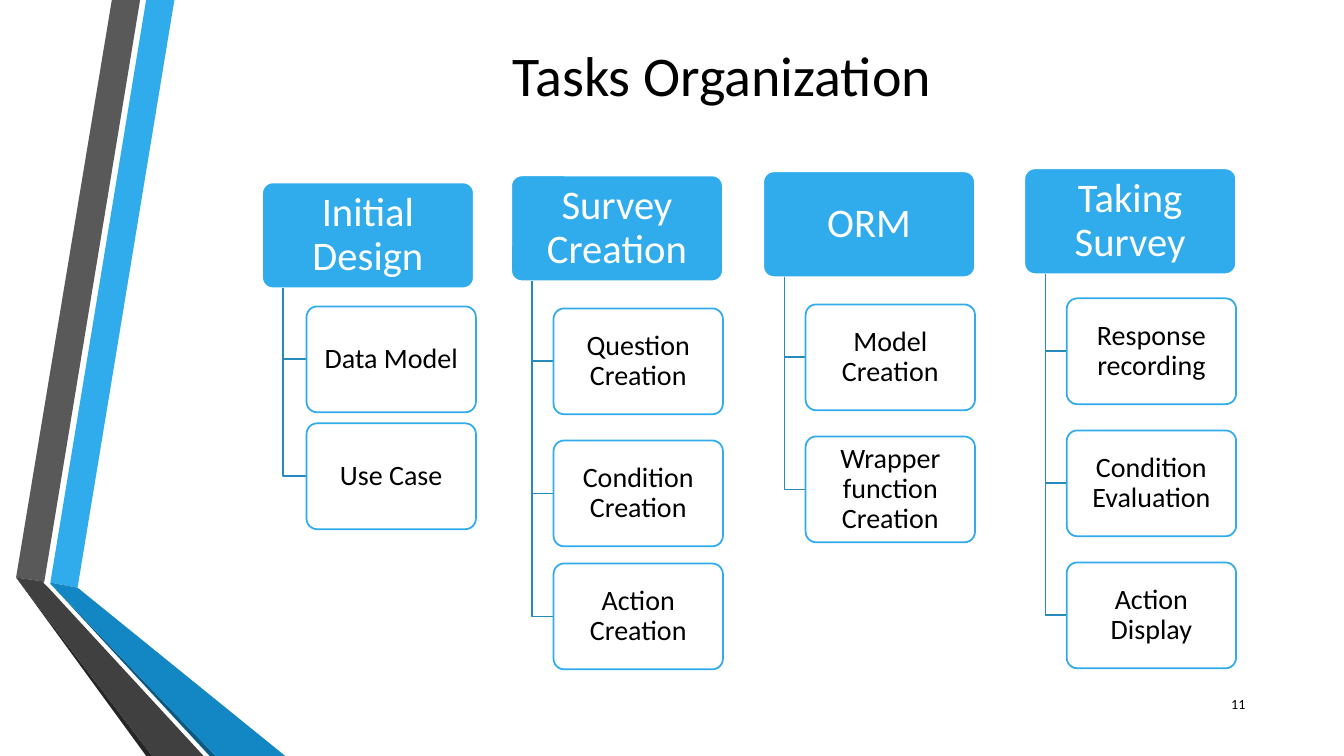
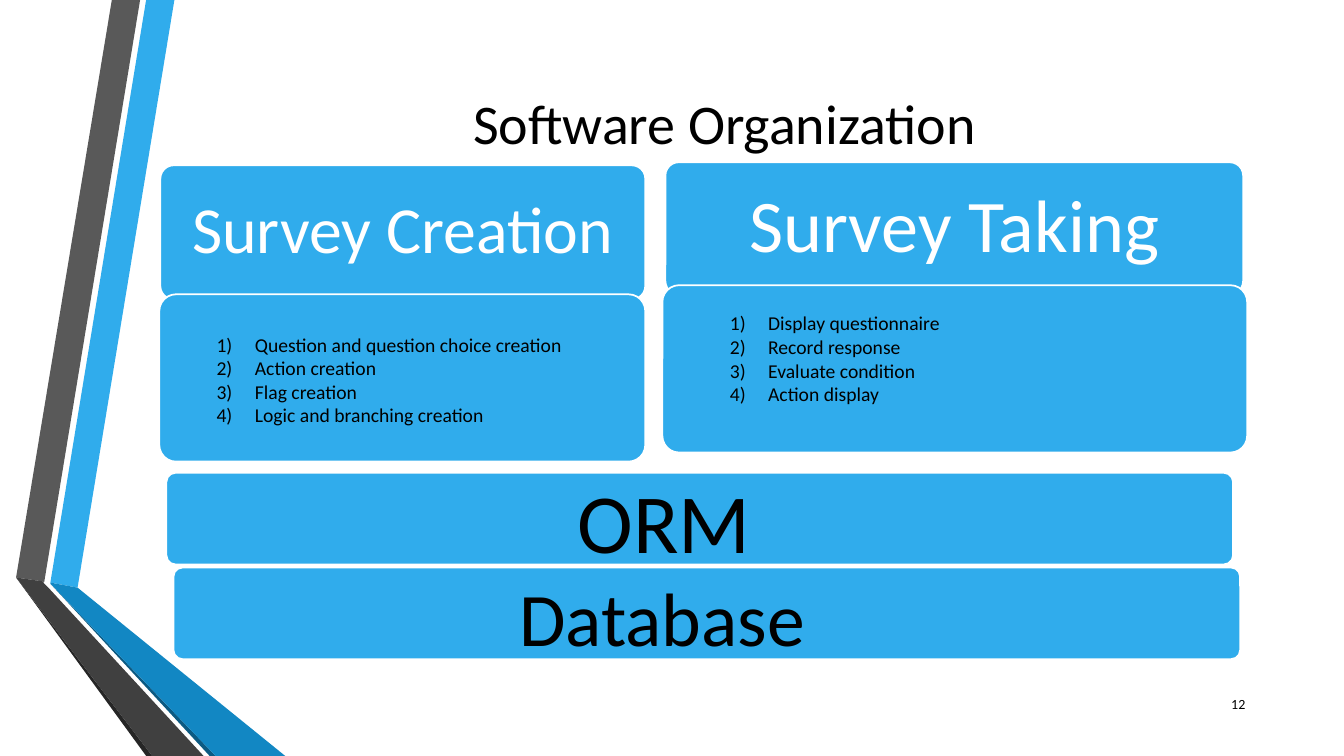
from lxml import etree
from pptx import Presentation
from pptx.dml.color import RGBColor
from pptx.enum.shapes import MSO_SHAPE as Shape
from pptx.enum.text import MSO_ANCHOR as Anchor, MSO_AUTO_SIZE as AutoSize, PP_ALIGN as Align
from pptx.oxml.ns import qn
from pptx.util import Inches, Pt

BLUE = RGBColor(0x30, 0xAC, 0xEC)
MID_BLUE = RGBColor(0x12, 0x87, 0xC3)
DARK_BLUE = RGBColor(0x0C, 0x5A, 0x82)
STEM_BLUE = RGBColor(0x26, 0x8A, 0xBD)
GREY = RGBColor(0x59, 0x59, 0x59)
DARK_GREY = RGBColor(0x40, 0x40, 0x40)
BLACKISH = RGBColor(0x26, 0x26, 0x26)
WHITE = RGBColor(0xFF, 0xFF, 0xFF)
BLACK = RGBColor(0, 0, 0)

# Ribbon down the left edge of every slide, back to front
RIBBON = [
    (BLUE, [(0.5, 5.78), (0.77, 5.83), (1.73, 0), (1.45, 0)]),
    (GREY, [(1.39, 0), (1.11, 0), (0.16, 5.73), (0.44, 5.77)]),
    (BLACKISH, [(0.16, 5.73), (1.45, 7.5), (1.51, 7.5)]),
    (DARK_BLUE, [(0.5, 5.79), (2.08, 7.5), (2.14, 7.5)]),
    (MID_BLUE, [(0.5, 5.79), (2.14, 7.5), (2.83, 7.5), (0.77, 5.83), (0.5, 5.78)]),
    (DARK_GREY, [(2.02, 7.5), (0.48, 5.83), (0.43, 5.78), (0.44, 5.77),
                 (0.16, 5.73), (1.51, 7.5)]),
]


class Deck:
    font = "Calibri"
    line_width = Pt(1.25)
    corner = 0.1

    def __init__(self):
        self.prs = Presentation()
        self.prs.slide_width = Inches(13.33)
        self.prs.slide_height = Inches(7.5)
        self.slide = None

    def new_slide(self, title, at, number):
        self.slide = self.prs.slides.add_slide(self.prs.slide_layouts[5])
        for color, points in RIBBON:
            self.outline(points, fill=color)
        heading = self.slide.shapes.title
        for side, value in zip(("left", "top", "width", "height"), at):
            setattr(heading, side, Inches(value))
        self.fill_text(heading, [title], 40, anchor=Anchor.MIDDLE, align=Align.CENTER)
        self.text((11.85, 6.78, 0.6, 0.4), [number], 10,
                  anchor=Anchor.MIDDLE, align=Align.RIGHT)

    def fill_text(self, shape, lines, size, color=BLACK, anchor=Anchor.TOP,
                  align=Align.LEFT, insets=(0.1, 0.05), spacing=None, numbered=False):
        frame = shape.text_frame
        across, down = map(Inches, insets)
        frame_format = {
            "word_wrap": True, "auto_size": AutoSize.NONE, "vertical_anchor": anchor,
            "margin_left": across, "margin_right": across,
            "margin_top": down, "margin_bottom": down,
        }
        for name, value in frame_format.items():
            setattr(frame, name, value)
        for index, line in enumerate(lines):
            paragraph = frame.add_paragraph() if index else frame.paragraphs[0]
            paragraph.alignment = align
            if spacing:
                paragraph.line_spacing = spacing
            run = paragraph.add_run()
            run.text = line
            for name, value in {"name": self.font, "size": Pt(size)}.items():
                setattr(run.font, name, value)
            run.font.color.rgb = color
            if numbered:
                self.number(paragraph)

    def number(self, paragraph):
        props = paragraph._p.get_or_add_pPr()
        indent = Inches(0.38)
        props.set("marL", str(indent))
        props.set("indent", str(-indent))
        etree.SubElement(props, qn("a:buAutoNum"), type="arabicParenR")

    def text(self, at, lines, size, **style):
        box = self.slide.shapes.add_textbox(*map(Inches, at))
        self.fill_text(box, lines, size, **style)

    def card(self, at, label=None, size=20, fill=BLUE, line=WHITE, color=WHITE,
             insets=(0.04, 0.03)):
        card = self.slide.shapes.add_shape(Shape.ROUNDED_RECTANGLE, *map(Inches, at))
        card.adjustments[0] = self.corner
        card.shadow.inherit = False
        card.fill.solid()
        card.fill.fore_color.rgb = fill
        card.line.color.rgb = line
        card.line.width = self.line_width
        if label:
            self.fill_text(card, [label], size, color=color, anchor=Anchor.MIDDLE,
                           align=Align.CENTER, insets=insets, spacing=0.9)

    def outline(self, points, fill=None, line=None):
        start, *rest = [(Inches(x), Inches(y)) for x, y in points]
        builder = self.slide.shapes.build_freeform(*start)
        builder.add_line_segments(rest, close=fill is not None)
        shape = builder.convert_to_shape()
        shape.shadow.inherit = False
        for part, color in ((shape.fill, fill), (shape.line.fill, line)):
            if color is None:
                part.background()
            else:
                part.solid()
                part.fore_color.rgb = color
        if line is not None:
            shape.line.width = self.line_width

    def task_branch(self, left, top, heading, indent, tasks):
        """A heading with its tasks hanging from one stem."""
        height = 1.05
        self.card((left, top, 2.1, height), heading, 29, insets=(0.06, 0.04))
        stem, task_left = left + 0.21, left + indent
        for task_top, task in tasks:
            middle = task_top + height / 2
            self.outline([(stem, top + height), (stem, middle), (task_left, middle)],
                         line=STEM_BLUE)
            self.card((task_left, task_top, 1.68, height), task,
                      fill=WHITE, line=BLUE, color=BLACK)


def tasks_slide(deck):
    deck.new_slide("Tasks Organization", (1.68, 0.28, 10.96, 0.92), "11")
    branches = [
        (2.6, 1.81, "Initial Design", 0.44,
         [(3.04, "Data Model"), (4.2, "Use Case")]),
        (5.07, 1.74, "Survey Creation", 0.42,
         [(3.06, "Question Creation"), (4.37, "Condition Creation"),
          (5.59, "Action Creation")]),
        (7.57, 1.7, "ORM", 0.42,
         [(3.02, "Model Creation"), (4.33, "Wrapper function Creation")]),
        (10.16, 1.67, "Taking Survey", 0.42,
         [(2.96, "Response recording"), (4.27, "Condition Evaluation"),
          (5.58, "Action Display")]),
    ]
    for branch in branches:
        deck.task_branch(*branch)


def software_slide(deck):
    deck.new_slide("Software Organization", (1.79, 0.75, 10.79, 0.92), "12")

    # Modules: heading card, body card, numbered features
    modules = [
        ("Survey Creation", 47, 0.2, (1.59, 1.64, 4.81, 1.33), (1.58, 2.92, 4.82, 1.66),
         (2.05, 3.25, 3.9, 1.35),
         ["Question and question choice creation", "Action creation",
          "Flag creation", "Logic and branching creation"]),
        ("Survey Taking", 53, 0.22, (6.6, 1.61, 5.73, 1.31), (6.57, 2.83, 5.8, 1.66),
         (7.14, 3.04, 3.28, 1.04),
         ["Display questionnaire", "Record response", "Evaluate condition",
          "Action display"]),
    ]
    for name, size, inset, head_at, body_at, list_at, features in modules:
        deck.card(head_at, name, size, insets=(inset, inset))
        deck.card(body_at)
        deck.text(list_at, features, 14, numbered=True)

    # Layers beneath the modules
    layers = [
        ("ORM", 60, (1.65, 4.69, 10.58, 0.91), (5.63, 4.61, 4.12, 1.11)),
        ("Database", 54, (1.72, 5.63, 10.58, 0.91), (5.05, 5.61, 4.51, 1.01)),
    ]
    for name, size, bar_at, name_at in layers:
        deck.card(bar_at)
        deck.text(name_at, [name], size)


def main():
    deck = Deck()
    tasks_slide(deck)
    software_slide(deck)
    deck.prs.save("out.pptx")


if __name__ == "__main__":
    main()
